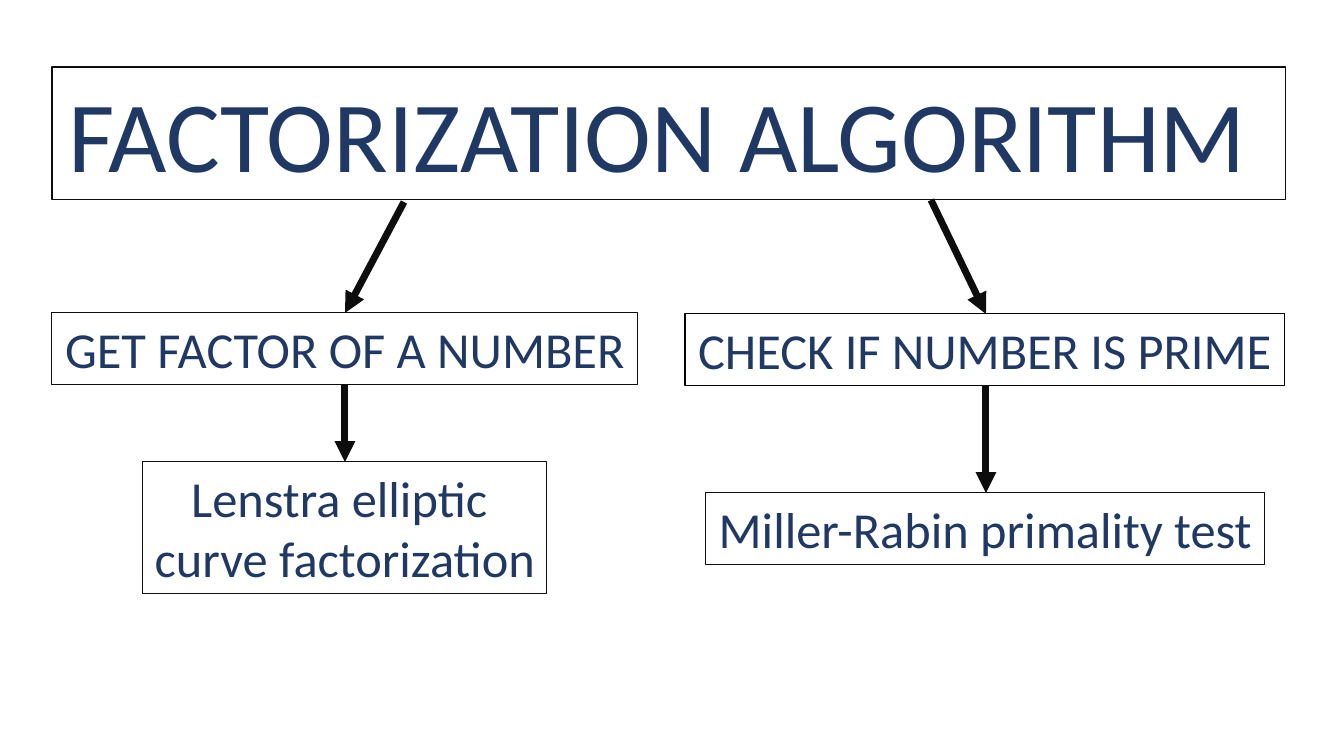
from typing import NamedTuple

from lxml import etree
from pptx import Presentation
from pptx.dml.color import RGBColor
from pptx.enum.shapes import MSO_CONNECTOR
from pptx.enum.text import MSO_ANCHOR, MSO_AUTO_SIZE, PP_ALIGN
from pptx.oxml.ns import qn
from pptx.util import Emu, Pt

STRAIGHT = MSO_CONNECTOR.STRAIGHT
TOP = MSO_ANCHOR.TOP
FIT_SHAPE = MSO_AUTO_SIZE.SHAPE_TO_FIT_TEXT
CENTER = PP_ALIGN.CENTER

EMU_PER_PIXEL = 914400 / 100.8
FONT = "Calibri"
COLORS = {"text": "203864", "line": "0D0D0D", "black": "000000"}


class Box(NamedTuple):
    text: str
    left: int
    top: int
    width: int
    height: int
    size: int = 36
    outline: str = "line"


class Arrow(NamedTuple):
    start_x: int
    start_y: int
    end_x: int
    end_y: int


def px(pixels: int) -> Emu:
    return Emu(round(pixels * EMU_PER_PIXEL))


def color(name: str) -> RGBColor:
    return RGBColor.from_string(COLORS[name])


def format_box(shape, box: Box) -> None:
    shape.left, shape.top = px(box.left), px(box.top)
    shape.width, shape.height = px(box.width), px(box.height)
    shape.fill.background()
    shape.line.color.rgb = color(box.outline)
    shape.line.width = Pt(0.75)
    frame = shape.text_frame
    frame.text = box.text
    frame.word_wrap = False
    frame.auto_size = FIT_SHAPE
    frame.vertical_anchor = TOP
    for paragraph in frame.paragraphs:
        paragraph.alignment = CENTER
        paragraph.font.name = FONT
        paragraph.font.size = Pt(box.size)
        paragraph.font.color.rgb = color("text")


def add_box(slide, box: Box) -> None:
    shape = slide.shapes.add_textbox(0, 0, px(box.width), px(box.height))
    format_box(shape, box)


def add_arrow(slide, arrow: Arrow) -> None:
    connector = slide.shapes.add_connector(STRAIGHT, *map(px, arrow))
    connector.line.color.rgb = color("line")
    connector.line.width = Pt(5)
    outline = connector.line._get_or_add_ln()
    etree.SubElement(outline, qn("a:tailEnd"), type="triangle")
    etree.SubElement(connector._element.spPr, qn("a:effectLst"))


TITLE = Box("FACTORIZATION ALGORITHM ", 52, 67, 1234, 132, size=72)
BOXES = [
    Box("GET FACTOR OF A NUMBER", 52, 313, 586, 72),
    Box("CHECK IF NUMBER IS PRIME", 685, 314, 600, 72, outline="black"),
    Box("Lenstra elliptic \ncurve factorization", 143, 462, 404, 132),
    Box("Miller-Rabin primality test", 706, 493, 559, 72),
]
LEFT_AXIS, RIGHT_AXIS = 345, 986
ARROWS = [
    Arrow(404, 202, LEFT_AXIS, 313),
    Arrow(931, 200, RIGHT_AXIS, 314),
    Arrow(LEFT_AXIS, 385, LEFT_AXIS, 462),
    Arrow(RIGHT_AXIS, 385, RIGHT_AXIS, 493),
]

# Slide with its title
presentation = Presentation()
presentation.slide_width, presentation.slide_height = px(1344), px(756)
slide = presentation.slides.add_slide(presentation.slide_layouts[5])
format_box(slide.shapes.title, TITLE)

# Tasks and the algorithms that solve them
for box in BOXES:
    add_box(slide, box)

# Arrows from the title down to the algorithms
for arrow in ARROWS:
    add_arrow(slide, arrow)

presentation.save("out.pptx")
